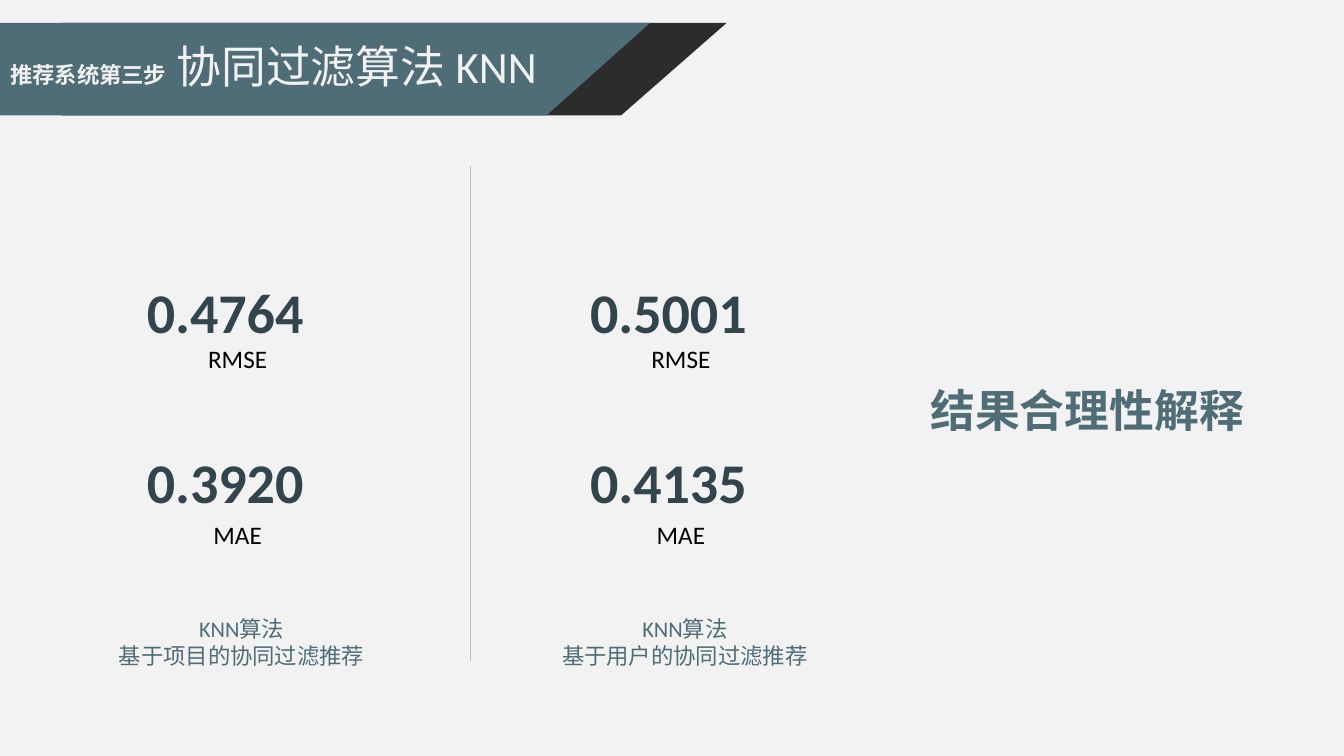
from dataclasses import dataclass

import lxml.etree
import pptx
import pptx.dml.color
import pptx.enum.shapes
import pptx.enum.text
import pptx.oxml.ns
import pptx.util

Cm = pptx.util.Cm
Pt = pptx.util.Pt
Color = pptx.dml.color.RGBColor.from_string
Align = pptx.enum.text.PP_ALIGN


@dataclass(frozen=True)
class Theme:
    background: str = "F2F2F2"
    teal: str = "4F6D77"
    slate: str = "32454C"
    charcoal: str = "2C2C2C"
    rule: str = "BFBFBF"
    black: str = "000000"
    latin: str = "Calibri"
    asian: str = "Noto Sans CJK SC"
    caption: int = 16
    label: int = 18
    heading: int = 32
    figure: int = 40


THEME = Theme()


@dataclass(frozen=True)
class TextStyle:
    size: int
    color: str
    bold: bool = False
    align: Align = Align.CENTER


@dataclass(frozen=True)
class Frame:
    left: float
    top: float
    width: float
    height: float


@dataclass(frozen=True)
class Band:
    left: float
    top_right: float
    bottom_right: float
    color: str


@dataclass(frozen=True)
class Metric:
    name: str
    value: str
    figure_top: float
    label_top: float


@dataclass(frozen=True)
class Result:
    left: float
    metrics: tuple[Metric, ...]
    caption: tuple[str, ...]


FIGURE = TextStyle(THEME.figure, THEME.slate, True, Align.LEFT)
LABEL = TextStyle(THEME.label, THEME.black)
CAPTION = TextStyle(THEME.caption, THEME.teal)
CONCLUSION = TextStyle(THEME.heading, THEME.teal, True)
TITLE = TextStyle(THEME.heading, THEME.background, False, Align.LEFT)

BAND_TOP, BAND_BOTTOM = 0.58, 2.91
BANDS = (
    Band(1.55, 18.31, 15.65, THEME.charcoal),
    Band(0, 16.38, 13.77, THEME.teal),
)


def metrics(rmse: str, mae: str) -> tuple[Metric, ...]:
    return (Metric("RMSE", rmse, 6.88, 8.53), Metric("MAE", mae, 11.15, 12.95))


RESULTS = (
    Result(2.13, metrics("0.4764", "0.3920"), ("KNN算法", "基于项目的协同过滤推荐")),
    Result(13.3, metrics("0.5001", "0.4135"), ("KNN算法", "基于用户的协同过滤推荐")),
)


def style_paragraph(para, style: TextStyle) -> None:
    para.alignment = style.align
    para.font.size = Pt(style.size)
    para.font.bold = style.bold
    para.font.name = THEME.latin
    para.font.color.rgb = Color(style.color)
    qn = pptx.oxml.ns.qn
    defaults = para._p.pPr.find(qn("a:defRPr"))
    lxml.etree.SubElement(defaults, qn("a:ea"), typeface=THEME.asian)


def place(shape, frame: Frame) -> None:
    shape.left, shape.top = Cm(frame.left), Cm(frame.top)
    shape.width, shape.height = Cm(frame.width), Cm(frame.height)


def add_text(page, frame: Frame, lines: tuple[str, ...], style: TextStyle) -> None:
    box = page.shapes.add_textbox(0, 0, 0, 0)
    place(box, frame)
    box.text_frame.word_wrap = True
    box.text_frame.text = "\n".join(lines)
    for para in box.text_frame.paragraphs:
        style_paragraph(para, style)


def add_band(page, band: Band) -> None:
    builder = page.shapes.build_freeform(Cm(band.left), Cm(BAND_TOP))
    builder.add_line_segments([
        (Cm(band.top_right), Cm(BAND_TOP)),
        (Cm(band.bottom_right), Cm(BAND_BOTTOM)),
        (Cm(band.left), Cm(BAND_BOTTOM)),
    ])
    shape = builder.convert_to_shape()
    shape.shadow.inherit = False
    shape.fill.solid()
    shape.fill.fore_color.rgb = Color(band.color)
    shape.line.fill.background()


def add_divider(page) -> None:
    divider = page.shapes.add_connector(
        pptx.enum.shapes.MSO_CONNECTOR.STRAIGHT,
        Cm(11.86), Cm(4.19), Cm(11.86), Cm(16.66))
    divider.line.color.rgb = Color(THEME.rule)
    divider.line.width = Pt(0.5)
    lxml.etree.SubElement(divider.element.spPr, pptx.oxml.ns.qn("a:effectLst"))


def add_result(page, result: Result) -> None:
    for metric in result.metrics:
        add_text(page, Frame(result.left + 1.32, metric.figure_top, 4.78, 1.96),
                 (metric.value,), FIGURE)
        add_text(page, Frame(result.left + 0.8, metric.label_top, 6.12, 1.02),
                 (metric.name,), LABEL)
    add_text(page, Frame(result.left, 15.37, 7.92, 1.63), result.caption, CAPTION)


def format_title(page) -> None:
    title = page.shapes.title
    page.shapes.element.append(title.element)
    place(title, Frame(0, 0.86, 14.33, 1.63))
    title.text_frame.word_wrap = True
    title.text_frame.auto_size = pptx.enum.text.MSO_AUTO_SIZE.NONE
    title.text_frame.vertical_anchor = pptx.enum.text.MSO_ANCHOR.TOP
    para = title.text_frame.paragraphs[0]
    style_paragraph(para, TITLE)
    step = para.add_run()
    step.text = "推荐系统第三步"
    step.font.size = Pt(THEME.caption)
    step.font.bold = True
    topic = para.add_run()
    topic.text = " 协同过滤算法 KNN"


def main() -> None:
    deck = pptx.Presentation()
    deck.slide_width, deck.slide_height = Cm(33.87), Cm(19.05)
    page = deck.slides.add_slide(deck.slide_layouts.get_by_name("Title Only"))
    page.background.fill.solid()
    page.background.fill.fore_color.rgb = Color(THEME.background)
    for band in BANDS:
        add_band(page, band)
    add_divider(page)
    for result in RESULTS:
        add_result(page, result)
    add_text(page, Frame(22.56, 9.53, 9.68, 1.63), ("结果合理性解释",), CONCLUSION)
    format_title(page)
    deck.save("out.pptx")


if __name__ == "__main__":
    main()
